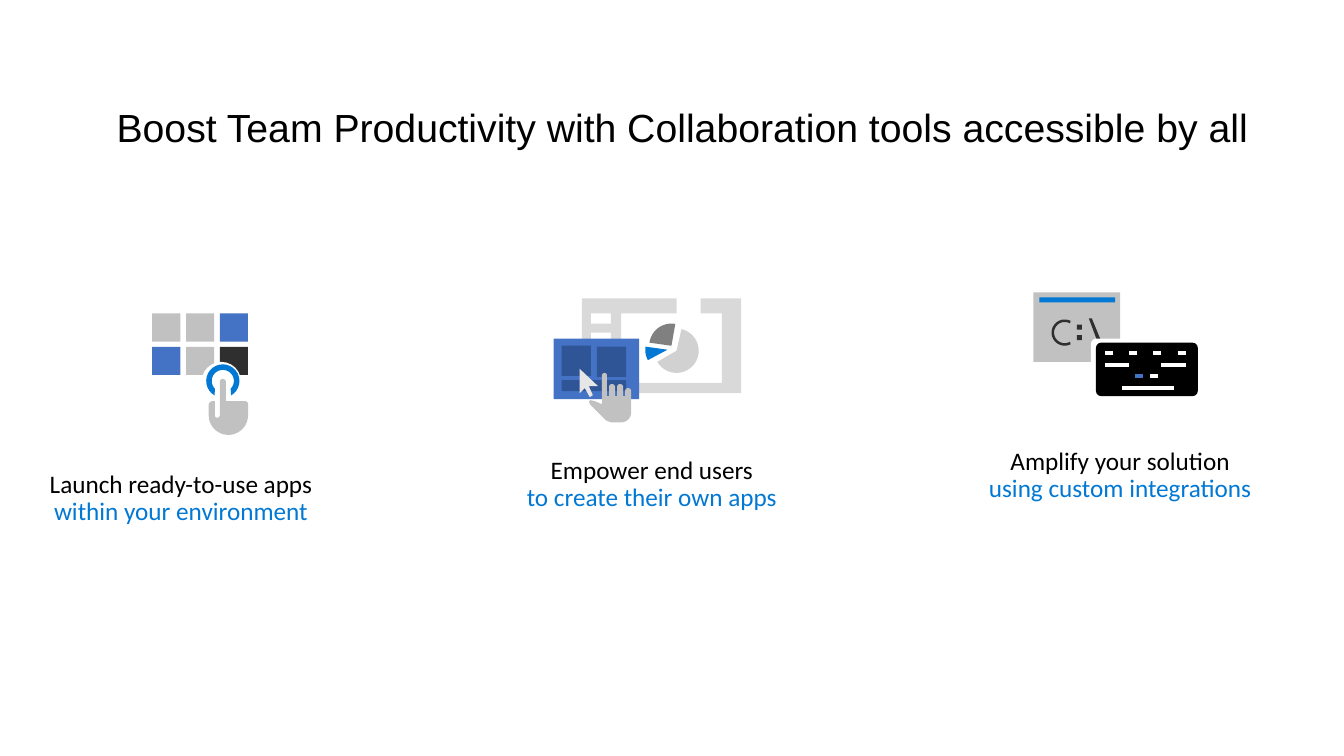
from math import cos, radians, sin

from pptx import Presentation
from pptx.dml.color import RGBColor as RGB
from pptx.enum.shapes import MSO_CONNECTOR as CONN, MSO_SHAPE as SHAPE
from pptx.enum.text import MSO_ANCHOR as ANCHOR, MSO_AUTO_SIZE as FIT, PP_ALIGN as ALIGN
from pptx.oxml.ns import qn
from pptx.util import Pt
from lxml.etree import SubElement

PX = 9144
COLORS = {
    "black": "000000", "white": "FFFFFF", "ink": "2F2F2F", "azure": "0078D4",
    "blue": "4472C4", "navy": "2F5597", "silver": "C1C1C1", "pie": "D1D1D1",
    "slice": "808080", "frame": "D9D9D9", "pointer": "E7E6E6",
}


def color(name):
    return RGB.from_string(COLORS[name])


def emu(*lengths):
    return [round(n * PX) for n in lengths]


def style(obj, values):
    for name, value in values.items():
        setattr(obj, name, value)


def arc(cx, cy, r, start, end, steps=24):
    angles = [radians(start + (end - start) * i / steps) for i in range(steps + 1)]
    return [(cx + r * cos(a), cy + r * sin(a)) for a in angles]


def box(left, top, right, bottom):
    return [(left, top), (right, top), (right, bottom), (left, bottom)]


def finger(cx, cy, r, base):
    return [(cx + r, base)] + arc(cx, cy, r, 0, -180) + [(cx - r, base)]


class Deck:
    def __init__(self, width, height):
        self.prs = Presentation()
        self.prs.slide_width, self.prs.slide_height = emu(width, height)
        self.s = self.prs.slides.add_slide(self.prs.slide_layouts[5])
        self.shapes = self.s.shapes

    def group(self):
        self.shapes = self.s.shapes.add_group_shape().shapes

    def paint(self, sp, fill):
        sp.shadow.inherit = False
        sp.fill.solid()
        sp.fill.fore_color.rgb = color(fill)
        sp.line.fill.background()

    def shape(self, kind, x, y, w, h, fill, adj=None):
        sp = self.shapes.add_shape(kind, *emu(x, y, w, h))
        if adj is not None:
            sp.adjustments[0] = adj
        self.paint(sp, fill)

    def rect(self, x, y, w, h, fill):
        self.shape(SHAPE.RECTANGLE, x, y, w, h, fill)

    def outline(self, fill, *contours):
        contours = [[emu(*pt) for pt in contour] for contour in contours]
        builder = self.shapes.build_freeform(*contours[0][0])
        for i, contour in enumerate(contours):
            if i:
                builder.move_to(*contour[0])
            builder.add_line_segments(contour[1:], close=True)
        self.paint(builder.convert_to_shape(), fill)

    def dash(self, x1, x2, y, stroke="white"):
        line = self.shapes.add_connector(CONN.STRAIGHT, *emu(x1, y, x2, y))
        line.line.color.rgb = color(stroke)
        line.line.width = Pt(3)
        SubElement(line._element.spPr, qn("a:effectLst"))

    def text(self, tf, lines, font, size):
        p = tf.paragraphs[0]
        style(p, {"alignment": ALIGN.CENTER, "line_spacing": 0.9})
        for i, (words, name) in enumerate(lines):
            if i:
                p.add_line_break()
            r = p.add_run()
            r.text = words
            style(r.font, {"name": font, "size": Pt(size)})
            r.font.color.rgb = color(name)

    def title(self, words, x, y, w, h):
        sp = self.s.shapes.title
        style(sp, dict(zip(("left", "top", "width", "height"), emu(x, y, w, h))))
        tf = sp.text_frame
        style(tf, {"auto_size": FIT.NONE, "word_wrap": True,
                   "vertical_anchor": ANCHOR.MIDDLE, "margin_top": 45 * PX})
        self.text(tf, [(words, "black")], "Arial", 28)

    def caption(self, x, y, w, h, first, second):
        tf = self.s.shapes.add_textbox(*emu(x, y, w, h)).text_frame
        style(tf, {"word_wrap": True, "auto_size": FIT.SHAPE_TO_FIT_TEXT,
                   "margin_left": 0, "margin_top": 0,
                   "margin_right": 0, "margin_bottom": 0})
        self.text(tf, [(first, "black"), (second, "azure")], "Calibri", 18)


def launch_icon(deck):
    deck.group()
    tiles = [["silver", "silver", "blue"], ["blue", "silver", "ink"]]
    for row, fills in enumerate(tiles):
        for col, fill in enumerate(fills):
            deck.rect(151 + 67 * col / 2, 311 + 33 * row, 28, 28, fill)
    deck.shape(SHAPE.OVAL, 200, 359, 39, 39, "white")
    deck.outline("silver", arc(243, 401, 3, 0, -90) + finger(221, 379, 3, 398)
                 + arc(215.5, 412, 2.5, 0, 180) + [(213, 398)]
                 + arc(211, 402, 4, -90, -180) + arc(226.5, 412, 19.5, 180, 0))
    deck.outline("azure", arc(221, 378, 16.5, 120, 420) + arc(221, 378, 11, 405, 135))


def empower_icon(deck):
    deck.group()
    deck.outline("pie", [(671, 348)] + arc(671, 348, 22, 150, -77))
    deck.outline("azure", [(662, 347)] + arc(662, 347, 22, 188, 152))
    deck.outline("slice", [(666, 343)] + arc(666, 343, 22, 188, 280))
    window = [(695, 311), (716, 311), (716, 380), (616, 380), (616, 311), (671, 311),
              (671, 296), (577, 296), (577, 390), (735, 390), (735, 296), (695, 296)]
    deck.outline("frame", window, *[box(586, y, 606, y + 10) for y in (311, 330, 370)])
    deck.rect(549, 336, 85, 60, "blue")
    for x, y, w, h in [(557, 343, 29, 30), (592, 344, 29, 30), (557, 377, 64, 11)]:
        deck.rect(x, y, w, h, "navy")
    deck.outline("pointer", [(588, 392), (584, 383), (593, 383), (575, 366),
                             (575, 390), (580, 385), (585, 394)])
    fingers = [(623, 388, 3), (615, 384, 3), (607, 384, 3), (599.5, 372.5, 2.5)]
    hand = [pt for cx, cy, r in fingers for pt in finger(cx, cy, r, 393)]
    palm = [(597, 401), (590, 398), (586, 397), (584, 398), (585, 401),
            (601, 417), (606, 419), (613, 419)]
    deck.outline("silver", hand + palm + arc(616, 409, 10, 90, 0))


def amplify_icon(deck):
    deck.group()
    deck.rect(1025, 290, 86, 69, "silver")
    deck.rect(1031, 295, 75, 5, "azure")
    deck.outline("ink", arc(1056, 330, 13, -63, -297) + arc(1056, 330, 10.5, -300, -60))
    for y in (322, 332.5):
        deck.rect(1068, y, 5, 5, "ink")
    deck.outline("ink", [(1080, 316), (1090, 343), (1094, 343), (1083, 316)])
    for x, y, fill in [(1082, 336, "white"), (1087, 340, "black")]:
        deck.shape(SHAPE.ROUNDED_RECTANGLE, x, y, 101, 53, fill, 0.095)
    for i in range(4):
        deck.dash(1096 + 24 * i, 1104 + 24 * i, 350)
    for x1, x2, y in [(1096, 1120, 362), (1152, 1176, 362),
                      (1113, 1164, 385), (1141, 1149, 373)]:
        deck.dash(x1, x2, y)
    deck.dash(1126, 1134, 373, "blue")


def main():
    deck = Deck(1333, 750)
    deck.title("Boost Team Productivity with Collaboration tools accessible by all",
               31, 51, 1291, 116)
    launch_icon(deck)
    deck.caption(30, 468, 299, 56, "Launch ready-to-use apps", "within your environment")
    empower_icon(deck)
    deck.caption(480, 454, 333, 55, "Empower end users", "to create their own apps")
    amplify_icon(deck)
    deck.caption(938, 445, 346, 55, "Amplify your solution", "using custom integrations")
    deck.prs.save("out.pptx")


if __name__ == "__main__":
    main()
